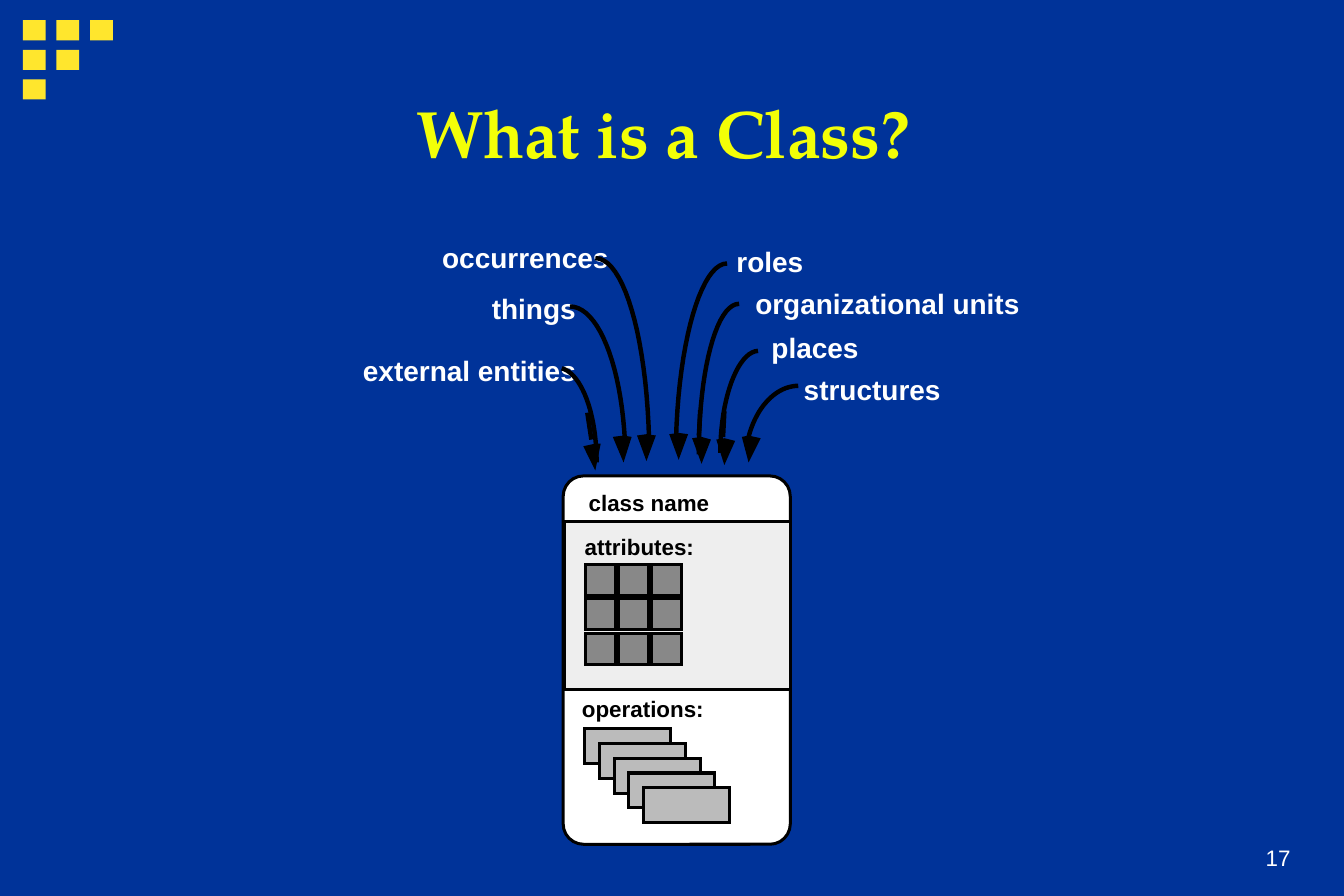
from dataclasses import dataclass

from lxml import etree
from pptx import Presentation
from pptx.dml.color import RGBColor
from pptx.enum.shapes import MSO_CONNECTOR, MSO_SHAPE
from pptx.enum.text import MSO_ANCHOR, MSO_AUTO_SIZE, PP_ALIGN
from pptx.oxml.ns import qn
from pptx.util import Inches, Pt

RECT = MSO_SHAPE.RECTANGLE
ROUND = MSO_SHAPE.ROUNDED_RECTANGLE
STRAIGHT = MSO_CONNECTOR.STRAIGHT
GROW = MSO_AUTO_SIZE.SHAPE_TO_FIT_TEXT
TOP, BOTTOM = MSO_ANCHOR.TOP, MSO_ANCHOR.BOTTOM
LEFT, CENTER, RIGHT = PP_ALIGN.LEFT, PP_ALIGN.CENTER, PP_ALIGN.RIGHT


@dataclass(frozen=True)
class Theme:
    back: str = "003399"
    square: str = "FFE62D"
    title: str = "F3FF07"
    white: str = "FFFFFF"
    black: str = "000000"
    pale: str = "EEEEEE"
    cell: str = "888888"
    card: str = "BBBBBB"
    serif: str = "TeX Gyre Pagella"
    sans: str = "Arial"
    head: int = 36
    label: int = 15
    small: int = 12
    thin: float = 1.62
    thick: float = 2.38


THEME = Theme()
STEPS = 20

LABELS = [
    ("external entities", 2.7, 2.66, 1.59),
    ("things", 3.66, 2.2, 0.63),
    ("occurrences", 3.29, 1.82, 1.24),
    ("roles", 5.48, 1.85, 0.5),
    ("organizational units", 5.62, 2.16, 1.97),
    ("places", 5.74, 2.49, 0.65),
    ("structures", 5.98, 2.8, 1.02),
]

CURVES = [
    [(4.24, 2.28), (4.45, 2.28), (4.62, 2.71), (4.65, 3.28)],
    [(4.43, 1.92), (4.64, 1.92), (4.81, 2.5), (4.83, 3.27)],
    [(4.18, 2.74), (4.33, 2.78), (4.44, 3.08), (4.44, 3.44)],
    [(5.03, 3.27), (5.05, 2.53), (5.22, 1.96), (5.41, 1.96)],
    [(5.2, 3.38), (5.2, 2.76), (5.33, 2.26), (5.5, 2.26)],
    [(5.36, 3.37), (5.36, 2.96), (5.49, 2.62), (5.64, 2.61)],
    [(5.57, 3.25), (5.63, 3.02), (5.78, 2.87), (5.94, 2.87)],
]

HEADS = [
    [(4.56, 3.25), (4.64, 3.24), (4.7, 3.25), (4.64, 3.44)],
    [(4.74, 3.24), (4.81, 3.23), (4.88, 3.24), (4.81, 3.43)],
    [(4.98, 3.23), (5.05, 3.22), (5.12, 3.23), (5.05, 3.42)],
    [(5.52, 3.25), (5.57, 3.24), (5.66, 3.26), (5.57, 3.44)],
    [(5.33, 3.27), (5.39, 3.26), (5.47, 3.28), (5.39, 3.46)],
    [(5.15, 3.26), (5.22, 3.25), (5.29, 3.27), (5.22, 3.45)],
    [(4.34, 3.32), (4.43, 3.3), (4.47, 3.3), (4.43, 3.5)],
]

STEMS = [
    (5.38, 3.25, 5.39, 3.06),
    (5.2, 3.24, 5.21, 3.05),
    (4.4, 3.27, 4.37, 3.07),
]


def rgb(code):
    return RGBColor.from_string(code)


def paint(shape, fill=None, width=None):
    shape.shadow.inherit = False
    if fill:
        shape.fill.solid()
        shape.fill.fore_color.rgb = rgb(fill)
    else:
        shape.fill.background()
    if width:
        shape.line.color.rgb = rgb(THEME.black)
        shape.line.width = Pt(width)
        edge = shape._element.spPr.find(qn("a:ln"))
        etree.SubElement(edge, qn("a:miter"), lim="800000")
    else:
        shape.line.fill.background()


def add_box(slide, x, y, w, h, fill, width=None, kind=RECT):
    box = slide.shapes.add_shape(kind, *map(Inches, (x, y, w, h)))
    paint(box, fill, width)
    return box


def add_line(slide, ends, width):
    line = slide.shapes.add_connector(STRAIGHT, *map(Inches, ends))
    line.line.color.rgb = rgb(THEME.black)
    line.line.width = Pt(width)
    etree.SubElement(line._element.spPr, qn("a:effectLst"))


def add_path(slide, spots, closed, fill=None, width=None):
    spots = [(Inches(x), Inches(y)) for x, y in spots]
    pen = slide.shapes.build_freeform(*spots[0])
    pen.add_line_segments(spots[1:], close=closed)
    paint(pen.convert_to_shape(), fill, width)


def bezier(knots):
    for step in range(STEPS + 1):
        t = step / STEPS
        parts = ((1 - t) ** 3, 3 * t * (1 - t) ** 2, 3 * t * t * (1 - t), t ** 3)
        yield tuple(sum(p * k[axis] for p, k in zip(parts, knots)) for axis in (0, 1))


def set_text(shape, text, size, color, face, bold=True, align=LEFT, pad=(0, 0)):
    frame = shape.text_frame
    frame.text = text
    frame.margin_left = frame.margin_right = Inches(pad[0])
    frame.margin_top = frame.margin_bottom = Inches(pad[1])
    frame.vertical_anchor = TOP
    para = frame.paragraphs[0]
    para.alignment = align
    font = para.runs[0].font
    font.name, font.size, font.bold = face, Pt(size), bold
    font.color.rgb = rgb(color)
    return frame


def add_label(slide, text, x, y, w, size, color):
    box = slide.shapes.add_textbox(*map(Inches, (x, y, w, size / 65)))
    frame = set_text(box, text, size, color, THEME.sans)
    frame.word_wrap = False
    frame.auto_size = GROW
    frame.paragraphs[0].line_spacing = 0.9


def add_title(slide, text):
    title = slide.shapes.title
    title.left, title.top = Inches(2.88), Inches(0.65)
    title.width, title.height = Inches(4.11), Inches(0.66)
    frame = set_text(title, text, THEME.head, THEME.title, THEME.serif,
                     align=CENTER, pad=(0.07, 0.03))
    frame.auto_size = GROW


def add_number(slide, text):
    box = slide.shapes.add_textbox(*map(Inches, (9.01, 6.07, 0.69, 0.46)))
    frame = set_text(box, text, THEME.small, THEME.white, THEME.sans,
                     bold=False, align=RIGHT, pad=(0.1, 0.05))
    frame.word_wrap = True
    frame.vertical_anchor = BOTTOM


def add_corner(slide):
    for row in range(3):
        for col in range(3 - row):
            add_box(slide, 0.17 + 0.25 * col, 0.15 + 0.22 * row, 0.17, 0.15, THEME.square)


def add_class(slide):
    body = add_box(slide, 4.19, 3.54, 1.69, 2.74, THEME.white, THEME.thin, ROUND)
    body.adjustments[0] = 0.09
    for y in (3.89, 5.11):
        add_line(slide, (4.19, y, 5.86, y), THEME.thin)
    add_box(slide, 4.2, 3.88, 1.68, 1.25, THEME.pale, THEME.thin)
    for text, x, y, w in (("class name", 4.38, 3.66, 0.9),
                          ("attributes:", 4.35, 3.99, 0.82),
                          ("operations:", 4.33, 5.19, 0.91)):
        add_label(slide, text, x, y, w, THEME.small, THEME.black)
    for row in range(3):
        for col in range(3):
            add_box(slide, 4.36 + 0.245 * col, 4.2 + 0.255 * row, 0.22, 0.23,
                    THEME.cell, THEME.thin)
    for step in range(5):
        add_box(slide, 4.35 + 0.11 * step, 5.42 + 0.11 * step, 0.64, 0.26,
                THEME.card, THEME.thin)


def add_arrows(slide):
    for knots in CURVES:
        add_path(slide, list(bezier(knots)), False, width=THEME.thick)
    for spots in HEADS:
        add_path(slide, spots, True, fill=THEME.black)
    for ends in STEMS:
        add_line(slide, ends, THEME.thick)


def main():
    deck = Presentation()
    deck.slide_width, deck.slide_height = Inches(10), Pt(479.85)
    slide = deck.slides.add_slide(deck.slide_layouts[5])
    slide.background.fill.solid()
    slide.background.fill.fore_color.rgb = rgb(THEME.back)
    add_corner(slide)
    add_number(slide, "17")
    add_title(slide, "What is a Class?")
    for text, x, y, w in LABELS:
        add_label(slide, text, x, y, w, THEME.label, THEME.white)
    add_class(slide)
    add_arrows(slide)
    deck.save("out.pptx")


if __name__ == "__main__":
    main()
